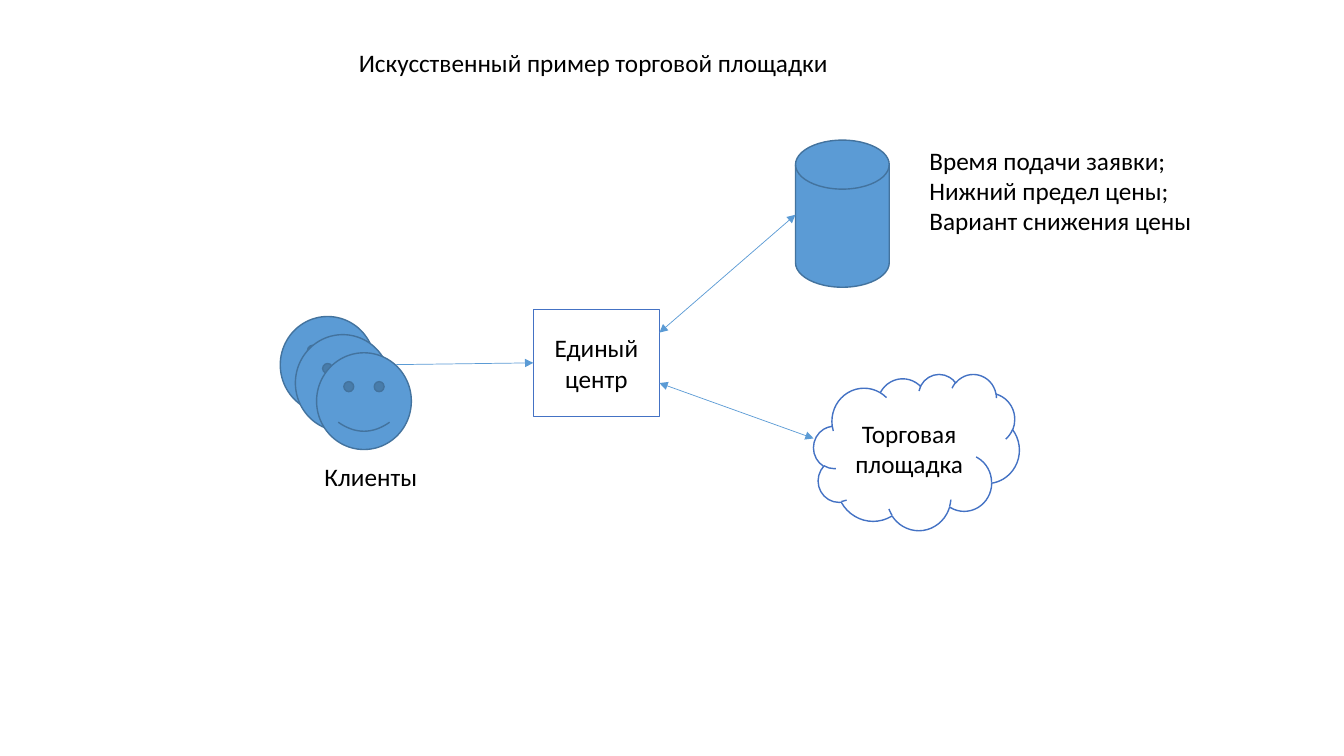
from pptx import Presentation
from pptx.dml.color import RGBColor as RGB
from pptx.enum.shapes import MSO_CONNECTOR as Link, MSO_SHAPE as Kind
from pptx.enum.text import MSO_ANCHOR as Anchor, MSO_AUTO_SIZE as Fit, PP_ALIGN as Align
from pptx.oxml.ns import qn
from pptx.util import Inches, Pt
from lxml.etree import SubElement as Sub

COLORS = {"white": "FFFFFF", "text": "000000", "frame": "4472C4",
          "blue": "5B9BD5", "edge": "43739E"}


class Board:
    font, size = "Calibri", 18

    def __init__(self, slide):
        self.slide = slide

    def color(self, name):
        return RGB.from_string(COLORS[name])

    def set_text(self, frame, text, align):
        frame.text = text
        for para in frame.paragraphs:
            para.alignment = align
            for run in para.runs:
                run.font.name = self.font
                run.font.size = Pt(self.size)
                run.font.color.rgb = self.color("text")

    def shape(self, kind, box, fill, line, text=""):
        item = self.slide.shapes.add_shape(kind, *map(Inches, box))
        item.shadow.inherit = False
        item.fill.solid()
        item.fill.fore_color.rgb = self.color(fill)
        item.line.color.rgb = self.color(line)
        item.line.width = Pt(1)
        if text:
            item.text_frame.word_wrap = True
            item.text_frame.vertical_anchor = Anchor.MIDDLE
            self.set_text(item.text_frame, text, Align.CENTER)

    def label(self, box, text):
        frame = self.slide.shapes.add_textbox(*map(Inches, box)).text_frame
        frame.word_wrap = False
        frame.auto_size = Fit.SHAPE_TO_FIT_TEXT
        self.set_text(frame, text, Align.LEFT)

    def arrow(self, start, end):
        item = self.slide.shapes.add_connector(
            Link.STRAIGHT, *map(Inches, start + end))
        item.line.color.rgb = self.color("blue")
        item.line.width = Pt(0.5)
        props = item._element.spPr
        for tip in ("a:headEnd", "a:tailEnd"):
            Sub(props.find(qn("a:ln")), qn(tip), type="triangle")
        Sub(props, qn("a:effectLst"))


deck = Presentation()
deck.slide_width, deck.slide_height = Inches(13.33), Inches(7.5)
board = Board(deck.slides.add_slide(deck.slide_layouts[6]))

# Title
board.label((3.46, 0.42, 4.91, 0.4), "Искусственный пример торговой площадки")

# Center and market
board.shape(Kind.RECTANGLE, (5.29, 3.07, 1.25, 1.06), "white", "frame",
            "Единый центр")
board.shape(Kind.CLOUD, (8.07, 3.71, 2.04, 1.55), "white", "frame",
            "Торговая\nплощадка")

# Database of bids
board.shape(Kind.FLOWCHART_MAGNETIC_DISK, (7.89, 1.39, 0.93, 1.46),
            "blue", "edge")
board.label((9.12, 1.39, 2.83, 1.01),
            "Время подачи заявки;\nНижний предел цены;\nВариант снижения цены")

# Links, drawn below the front clients
for start, end in (((6.54, 3.8), (8.07, 4.35)),
                   ((6.54, 3.3), (7.89, 2.13)),
                   ((3.72, 3.62), (5.29, 3.6))):
    board.arrow(start, end)

# Clients
for left, top in ((2.78, 3.14), (2.93, 3.32), (3.14, 3.5)):
    board.shape(Kind.SMILEY_FACE, (left, top, 0.94, 0.96), "blue", "edge")
board.label((3.12, 4.53, 1.13, 0.4), "Клиенты")

deck.save("out.pptx")
